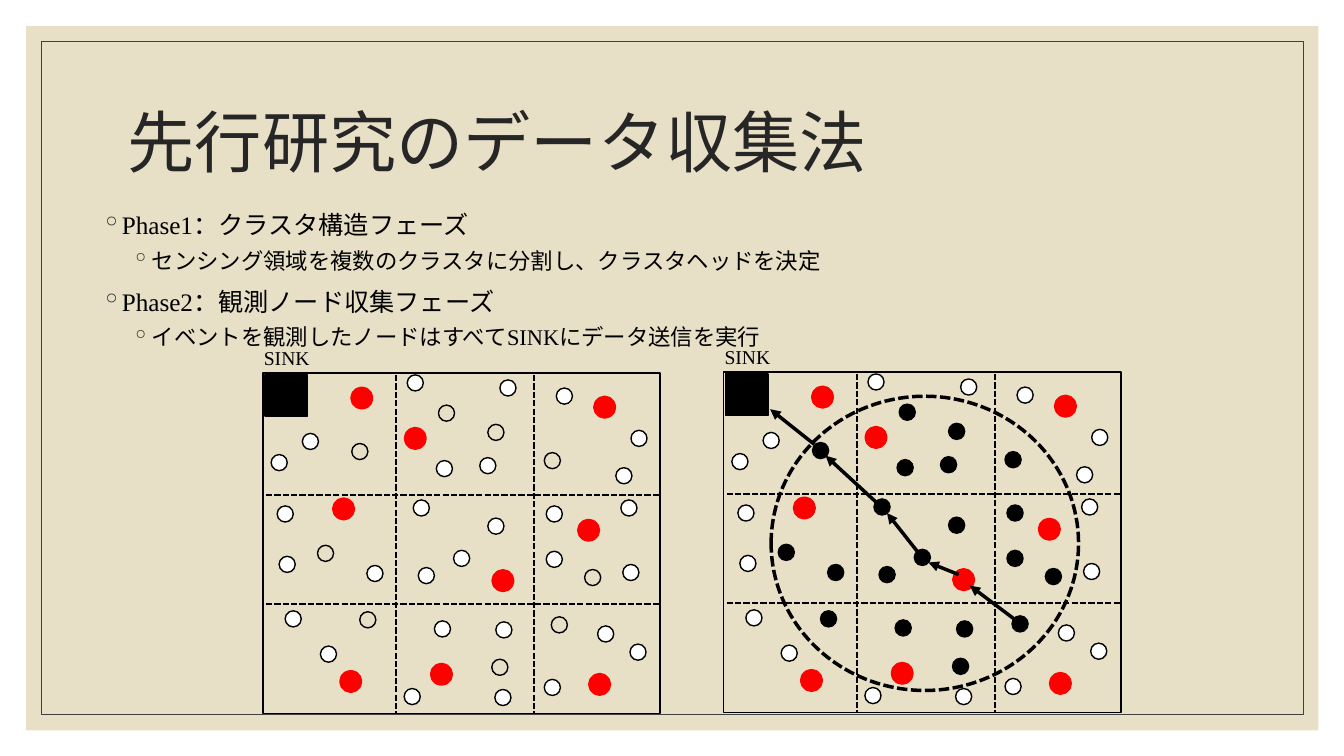
from dataclasses import dataclass
from typing import Optional

from lxml.etree import SubElement
from pptx import Presentation
from pptx.dml.color import RGBColor
from pptx.enum.dml import MSO_LINE
from pptx.enum.shapes import MSO_CONNECTOR, MSO_SHAPE
from pptx.enum.text import MSO_ANCHOR
from pptx.oxml.ns import qn
from pptx.util import Pt

FONT = "Times New Roman"
BLACK = RGBColor(0x00, 0x00, 0x00)
WHITE = RGBColor(0xFF, 0xFF, 0xFF)
RED = RGBColor(0xFF, 0x00, 0x00)
SAND = RGBColor(0xE7, 0xE0, 0xC7)
CHARCOAL = RGBColor(0x26, 0x26, 0x26)
FRAME_GRAY = RGBColor(0x40, 0x40, 0x40)

NODE_SIZE = 11.5
FIELD_WIDTH, FIELD_HEIGHT = 283.7, 243.4
COLUMN_BORDERS = (95, 193.7)
ROW_BORDERS = (87.1, 165)

# Node and arrow positions are points from the top left corner of a field.
OUTSIDE_NODES = (
    (10.1, 95), (15.8, 169.9), (41, 195.1), (239, 180.7), (165.6, 226.1), (5.8, 58.3),
    (200.9, 218.9), (103, 1.4), (100.8, 225.4), (262.1, 193.7), (255.6, 90.7), (257, 136.8),
    (209.5, 10.8), (252, 67.7), (262.8, 41), (169.2, 5), (28.1, 43.2), (11.5, 131),
)
WHITE_EVENT_NODES = (
    (123.8, 62.6), (74.2, 137.5), (154.8, 60.5), (166.3, 177.8), (202.3, 95), (107.3, 90.7),
    (110.9, 139), (136.1, 126.7), (122.4, 177.1), (202.3, 127.4), (160.6, 103.7),
)
HOLLOW_EVENT_NODES = (
    (38.9, 123.1), (69.1, 170.6), (63.4, 50.4), (160.6, 36.7), (205.9, 174.2),
    (200.9, 56.9), (229.7, 140.4), (163.4, 204.5), (125.3, 23),
)
CLUSTER_HEADS = (
    (51.8, 91.4), (103, 41), (165.6, 142.6), (56.9, 214.6), (121.7, 209.5),
    (238.3, 18.7), (226.8, 106.6), (234.7, 216.7), (64.8, 12.2),
)
ROUTE = (
    (207.4, 176.4, 175.7, 152.6), (167.8, 144.7, 146.2, 136.1), (138.2, 128.2, 116.6, 100.8),
    (108.7, 92.9, 72.7, 59.8), (64.8, 51.8, 33.1, 26.6),
)


@dataclass(frozen=True)
class Field:
    """A sensing field and the fills of the nodes that can observe the event."""
    left: float
    top: float
    white_event_fill: RGBColor
    hollow_event_fill: Optional[RGBColor]
    event: bool


@dataclass(frozen=True)
class Bullet:
    """The format of one outline level."""
    size: float
    indent: float
    space_before: float


PHASE = Bullet(size=18, indent=14.4, space_before=9)
DETAIL = Bullet(size=16, indent=36, space_before=5)
OUTLINE = (
    (PHASE, "Phase1：クラスタ構造フェーズ"),
    (DETAIL, "センシング領域を複数のクラスタに分割し、クラスタヘッドを決定"),
    (PHASE, "Phase2：観測ノード収集フェーズ"),
    (DETAIL, "イベントを観測したノードはすべてSINKにデータ送信を実行"),
)
FIELDS = (
    Field(187.9, 266.4, WHITE, None, event=False),
    Field(517, 265.7, BLACK, BLACK, event=True),
)


def draw_shape(page, kind: MSO_SHAPE, left: float, top: float, width: float, height: float, *,
               fill: Optional[RGBColor] = None, line: Optional[RGBColor] = BLACK,
               weight: float = 1, dash: Optional[MSO_LINE] = None) -> None:
    """Draw a preset shape, with no fill or no line where the colour is None."""
    shape = page.shapes.add_shape(kind, Pt(left), Pt(top), Pt(width), Pt(height))
    shape.shadow.inherit = False
    for paint, color in ((shape.fill, fill), (shape.line.fill, line)):
        if color is None:
            paint.background()
        else:
            paint.solid()
            paint.fore_color.rgb = color
    if line is not None:
        shape.line.width = Pt(weight)
        shape.line.dash_style = dash


def draw_line(page, start: tuple[float, float], end: tuple[float, float], *, weight: float,
              dash: Optional[MSO_LINE] = None, arrow: bool = False) -> None:
    """Draw a black straight line, with an arrowhead at its end if asked."""
    line = page.shapes.add_connector(
        MSO_CONNECTOR.STRAIGHT, Pt(start[0]), Pt(start[1]), Pt(end[0]), Pt(end[1]))
    line.line.color.rgb = BLACK
    line.line.width = Pt(weight)
    line.line.dash_style = dash
    properties = line._element.spPr
    if arrow:
        SubElement(properties.find(qn("a:ln")), qn("a:tailEnd"), type="triangle")
    SubElement(properties, qn("a:effectLst"))


def add_box(page, left: float, top: float, width: float, height: float, *,
            wrap: bool = True, anchor: MSO_ANCHOR = MSO_ANCHOR.TOP):
    """Add an empty text box and return its text frame."""
    frame = page.shapes.add_textbox(Pt(left), Pt(top), Pt(width), Pt(height)).text_frame
    frame.word_wrap = wrap
    frame.vertical_anchor = anchor
    return frame


def write(para, text: str, *, size: float, color: RGBColor = BLACK) -> None:
    """Write one span of text into a paragraph."""
    span = para.add_run()
    span.text = text
    span.font.name = FONT
    span.font.size = Pt(size)
    span.font.color.rgb = color


def set_bullet(para, bullet: Bullet) -> None:
    """Give a paragraph its bullet, hanging indent and spacing."""
    para.space_before = Pt(bullet.space_before)
    properties = para._p.get_or_add_pPr()
    properties.set("marL", str(Pt(bullet.indent)))
    properties.set("indent", str(-Pt(14.4)))
    color = SubElement(properties, qn("a:buClr"))
    SubElement(color, qn("a:srgbClr"), val=str(CHARCOAL))
    SubElement(properties, qn("a:buChar"), char="◦")


def draw_nodes(page, field: Field, nodes: tuple, *, fill: Optional[RGBColor],
               line: RGBColor = BLACK, weight: float = 1) -> None:
    """Draw a group of equal sensor nodes in a field."""
    for x, y in nodes:
        draw_shape(page, MSO_SHAPE.OVAL, field.left + x, field.top + y, NODE_SIZE, NODE_SIZE,
                   fill=fill, line=line, weight=weight)


def draw_field(page, field: Field) -> None:
    """Draw a field with its sink, clusters, nodes and, after an event, the route."""
    left, top = field.left, field.top
    if field.event:
        draw_shape(page, MSO_SHAPE.OVAL, left + 33.8, top + 17.3, 219.6, 210.2,
                   weight=2.5, dash=MSO_LINE.SQUARE_DOT)
    draw_shape(page, MSO_SHAPE.RECTANGLE, left, top, FIELD_WIDTH, FIELD_HEIGHT)
    draw_nodes(page, field, OUTSIDE_NODES, fill=WHITE)
    draw_nodes(page, field, WHITE_EVENT_NODES, fill=field.white_event_fill)
    draw_nodes(page, field, HOLLOW_EVENT_NODES, fill=field.hollow_event_fill)
    draw_shape(page, MSO_SHAPE.RECTANGLE, left + 1.4, top + 1.4, 30.2, 29.5, fill=BLACK)
    label = add_box(page, left - 6.5, top - 23, 47.5, 24.5, wrap=False)
    write(label.paragraphs[0], "SINK", size=14)
    for x in COLUMN_BORDERS:
        draw_line(page, (left + x, top + 1.4), (left + x, top + FIELD_HEIGHT),
                  weight=1.5, dash=MSO_LINE.SQUARE_DOT)
    for y in ROW_BORDERS:
        draw_line(page, (left + 2, top + y), (left + FIELD_WIDTH, top + y),
                  weight=1.5, dash=MSO_LINE.SQUARE_DOT)
    draw_nodes(page, field, CLUSTER_HEADS, fill=RED, line=RED, weight=5)
    if field.event:
        for x1, y1, x2, y2 in ROUTE:
            draw_line(page, (left + x1, top + y1), (left + x2, top + y2), weight=2.5, arrow=True)


deck = Presentation()
deck.slide_width, deck.slide_height = Pt(960), Pt(540)
page = deck.slides.add_slide(deck.slide_layouts[6])

draw_shape(page, MSO_SHAPE.RECTANGLE, 18.7, 18.7, 923, 503, fill=SAND, line=None)
draw_shape(page, MSO_SHAPE.RECTANGLE, 29.5, 29.5, 901.4, 481, line=FRAME_GRAY, weight=0.5)

title = add_box(page, 84.2, 50.4, 792, 108, anchor=MSO_ANCHOR.MIDDLE).paragraphs[0]
title.line_spacing = 0.9
write(title, "先行研究のデータ収集法", size=48, color=CHARCOAL)

body = add_box(page, 65.5, 146.2, 792, 309.6)
for index, (bullet, text) in enumerate(OUTLINE):
    para = body.add_paragraph() if index else body.paragraphs[0]
    set_bullet(para, bullet)
    write(para, text, size=bullet.size)

for field in FIELDS:
    draw_field(page, field)

deck.save("out.pptx")
